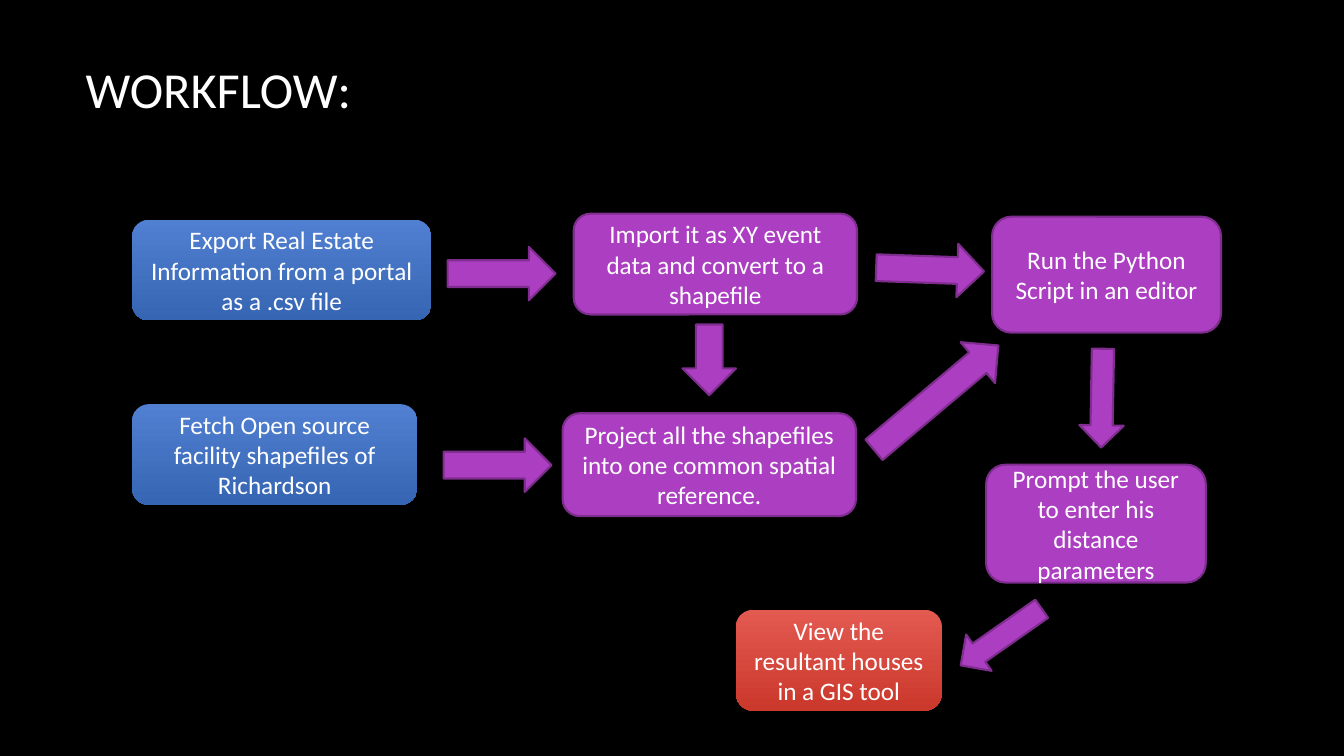
from dataclasses import dataclass

from pptx import Presentation
from pptx.dml.color import RGBColor
from pptx.enum.shapes import MSO_SHAPE
from pptx.enum.text import MSO_ANCHOR, PP_ALIGN
from pptx.shapes.autoshape import Shape
from pptx.slide import Slide
from pptx.text.text import TextFrame
from pptx.util import Emu, Pt

EMU_PER_PX = 9144
ROUNDED = MSO_SHAPE.ROUNDED_RECTANGLE
RIGHT = MSO_SHAPE.RIGHT_ARROW
DOWN = MSO_SHAPE.DOWN_ARROW
MIDDLE = MSO_ANCHOR.MIDDLE
LEFT_ALIGNED = PP_ALIGN.LEFT
CENTERED = PP_ALIGN.CENTER


@dataclass(frozen=True)
class Theme:
    font: str = "Calibri"
    title_size: int = 36
    step_size: int = 18
    outline_width: float = 1.5
    background: str = "000000"
    text: str = "FFFFFF"
    outline: str = "7F2E8F"
    process: tuple[str, ...] = ("AC3EC1",)
    source: tuple[str, ...] = ("5180D2", "3665B3")
    result: tuple[str, ...] = ("E35A51", "CB382C")


THEME = Theme()


@dataclass(frozen=True)
class Box:
    left: int
    top: int
    width: int
    height: int

    def emu(self) -> tuple[Emu, Emu, Emu, Emu]:
        return px(self.left), px(self.top), px(self.width), px(self.height)


@dataclass(frozen=True)
class Step:
    text: str
    box: Box
    colors: tuple[str, ...] = THEME.process


@dataclass(frozen=True)
class Arrow:
    box: Box
    rotation: int = 0
    kind: MSO_SHAPE = RIGHT


TITLE_BOX = Box(75, 19, 1108, 138)

STEPS = [
    Step("Export Real Estate Information from a portal as a .csv file",
         Box(131, 218, 297, 100), THEME.source),
    Step("Fetch Open source facility shapefiles of Richardson",
         Box(131, 401, 283, 100), THEME.source),
    Step("Import it as XY event data and convert to a shapefile",
         Box(569, 212, 281, 100)),
    Step("Project all the shapefiles into one common spatial reference.",
         Box(558, 410, 291, 102)),
    Step("Run the Python Script in an editor", Box(984, 215, 227, 115)),
    Step("Prompt the user to enter his distance parameters",
         Box(978, 461, 218, 117)),
    Step("View the resultant houses in a GIS tool",
         Box(730, 605, 204, 100), THEME.result),
]

ARROWS = [
    Arrow(Box(444, 245, 107, 53)),
    Arrow(Box(440, 435, 107, 53)),
    Arrow(Box(869, 241, 107, 53), rotation=2),
    Arrow(Box(677, 322, 53, 70), kind=DOWN),
    Arrow(Box(848, 368, 161, 53), rotation=320),
    Arrow(Box(1044, 373, 98, 44), rotation=91),
    Arrow(Box(944, 610, 98, 44), rotation=145),
]


def px(length: int) -> Emu:
    return Emu(length * EMU_PER_PX)


def rgb(color: str) -> RGBColor:
    return RGBColor.from_string(color)


def write_text(frame: TextFrame, text: str, size: int, alignment: PP_ALIGN) -> None:
    frame.word_wrap = True
    frame.vertical_anchor = MIDDLE
    paragraph = frame.paragraphs[0]
    paragraph.alignment = alignment
    run = paragraph.add_run()
    run.text = text
    run.font.name = THEME.font
    run.font.size = Pt(size)
    run.font.color.rgb = rgb(THEME.text)


def paint(shape: Shape, colors: tuple[str, ...]) -> None:
    """Fill flat with an outline for one color, or as a downward gradient for two."""
    shape.shadow.inherit = False
    if len(colors) == 1:
        shape.fill.solid()
        shape.fill.fore_color.rgb = rgb(colors[0])
        shape.line.color.rgb = rgb(THEME.outline)
        shape.line.width = Pt(THEME.outline_width)
        return
    shape.fill.gradient()
    shape.fill.gradient_angle = 270
    for stop, color in zip(shape.fill.gradient_stops, colors):
        stop.color.rgb = rgb(color)
    shape.line.fill.background()


def add_title(slide: Slide, text: str) -> None:
    title = slide.shapes.add_textbox(*TITLE_BOX.emu())
    write_text(title.text_frame, text, THEME.title_size, LEFT_ALIGNED)


def add_step(slide: Slide, step: Step) -> None:
    shape = slide.shapes.add_shape(ROUNDED, *step.box.emu())
    paint(shape, step.colors)
    write_text(shape.text_frame, step.text, THEME.step_size, CENTERED)


def add_arrow(slide: Slide, arrow: Arrow) -> None:
    shape = slide.shapes.add_shape(arrow.kind, *arrow.box.emu())
    shape.rotation = arrow.rotation
    paint(shape, THEME.process)


def main() -> None:
    presentation = Presentation()
    presentation.slide_width = px(1333)
    presentation.slide_height = px(750)
    slide = presentation.slides.add_slide(presentation.slide_layouts[6])
    slide.background.fill.solid()
    slide.background.fill.fore_color.rgb = rgb(THEME.background)

    add_title(slide, "WORKFLOW:")
    for step in STEPS:
        add_step(slide, step)
    for arrow in ARROWS:
        add_arrow(slide, arrow)
    presentation.save("out.pptx")


if __name__ == "__main__":
    main()
